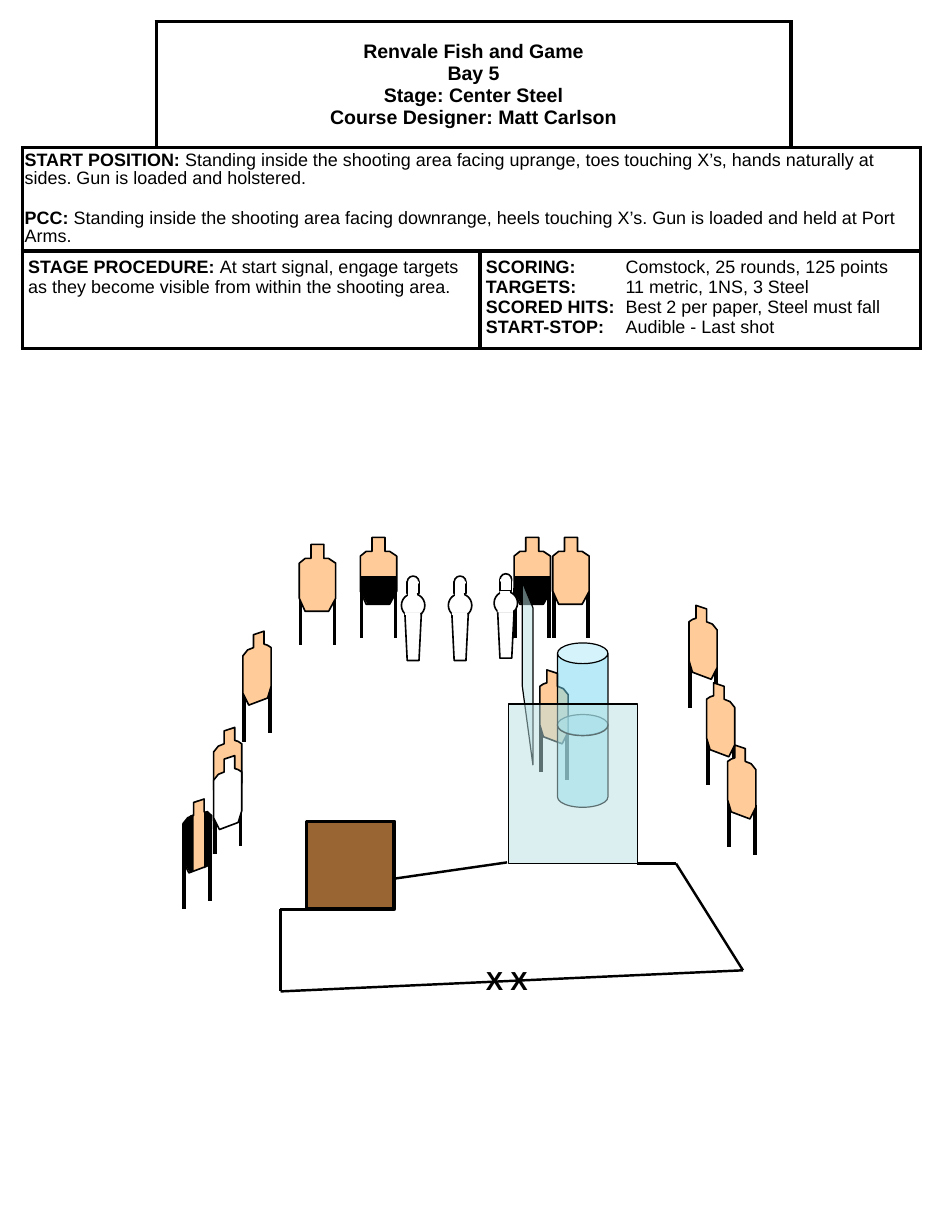
"""Build a one-page shooting stage briefing with a table and a course diagram."""
import pptx
import pptx.util
import pptx.dml.color
import pptx.enum.shapes
import pptx.enum.text
import pptx.oxml
import pptx.oxml.ns
from lxml import etree

RGB = pptx.dml.color.RGBColor
BLACK, WHITE = RGB(0, 0, 0), RGB(255, 255, 255)
TAN, BROWN = RGB(0xFF, 0xCC, 0x99), RGB(0x99, 0x66, 0x33)
BARREL, GLASS = RGB(0x73, 0xD9, 0xF1), RGB(0xBB, 0xE0, 0xE3)
KINDS = pptx.enum.shapes.MSO_SHAPE
Pt = pptx.util.Pt

HEADING = ["Renvale Fish and Game", "Bay 5", "Stage: Center Steel",
           "Course Designer: Matt Carlson"]
START = [
    ("START POSITION:", " Standing inside the shooting area facing uprange, toes touching X’s, "
     "hands naturally at sides. Gun is loaded and holstered."),
    ("PCC:", " Standing inside the shooting area facing downrange, heels touching X’s. "
     "Gun is loaded and held at Port Arms."),
]
PROCEDURE = [("STAGE PROCEDURE: ", "At start signal, engage targets as they become visible "
              "from within the shooting area.")]
SCORING = [
    ("SCORING:", "\tComstock, 25 rounds, 125 points"),
    ("TARGETS:", "\t11 metric, 1NS, 3 Steel"),
    ("SCORED HITS:", "\tBest 2 per paper, Steel must fall"),
    ("START-STOP:", "\tAudible - Last shot"),
]
COLUMNS, ROWS = [1.14, 2.76, 2.65, 1.1], [1.08, 0.87, 0.83]
SPANS = [(0, 0, 1, "RB"), (0, 1, 2, "LRTB"), (0, 3, 1, "LB"),
         (1, 0, 4, "LRTB"), (2, 0, 2, "LRTB"), (2, 2, 2, "LRTB")]

FRONT = [(.1, 0), (.21, 0), (.21, .12), (.25, .12), (.31, .16), (.31, .46),
         (.25, .57), (.05, .57), (0, .46), (0, .16), (.05, .12), (.1, .12)]
TURNED = [(.15, .03), (.06, 0), (.06, .11), (.03, .12), (0, .14), (0, .47),
          (.03, .57), (.19, .63), (.24, .53), (.24, .21), (.2, .16), (.15, .14)]
MIRRORED = [(.24 - x, y) for x, y in TURNED]
OUTLINES = {"front": FRONT, "right": TURNED, "left": MIRRORED}
LEGS = {"front": [(.01, .43), (.3, .43)], "right": [(.23, .51), (.01, .44)],
        "left": [(.01, .51), (.23, .44)]}
LOW_BLACK = [(0, .33), (.31, .33), (.31, .46), (.25, .57), (.06, .57), (0, .46)]
SIDE_BLACK = [
    [(0, .53), (.06, .63), (.09, .61), (.09, .13), (.06, .14), (0, .21)],
    [(.18, .11), (.21, .1), (.25, .14), (.24, .46), (.21, .57), (.18, .59)],
]
NO_SHOOT = [(x, y + .24) for x, y in MIRRORED]
TARGETS = [
    ("right", 5.87, 5.16, []), ("right", 6.02, 5.82, []), ("right", 6.2, 6.35, []),
    ("left", 2.07, 5.38, []), ("right", 4.6, 5.71, []),
    ("front", 3.07, 4.58, [LOW_BLACK]), ("front", 4.38, 4.58, [LOW_BLACK]),
    ("front", 4.71, 4.58, []), ("front", 2.55, 4.64, []),
    ("left", 1.56, 6.81, SIDE_BLACK), ("left", 1.82, 6.2, [NO_SHOOT]),
]

POPPERS = [(3.42, 4.91), (3.82, 4.91), (4.21, 4.89)]
POPPER_STAND = [(.03, .32), (.17, .32), (.15, .72), (.05, .72)]
POPPER_ROUNDS = [(.05, 0, .1, .1), (0, .15, .2, .2)]
POPPER_PLATES = [((.05, .05, .1, .1), BLACK), ((.03, .31, .13, .02), None),
                 ((.06, .15, .07, .02), WHITE), ((.06, .05, .08, .01), WHITE)]
FAULT_LINES = [(2.39, 7.75, 2.39, 8.45), (2.39, 8.45, 6.33, 8.27), (2.39, 7.75, 2.63, 7.75),
               (6.33, 8.27, 5.76, 7.36), (3.35, 7.49, 4.32, 7.35), (5.43, 7.36, 5.76, 7.36)]
WALLS = [[(4.45, 5.85), (4.54, 6.52), (4.54, 5.18), (4.45, 4.96)],
         [(5.43, 7.36), (4.33, 7.36), (4.33, 6), (5.43, 6)]]


def cm(inches):
    return pptx.util.Cm(2.54 * inches)


def assign(obj, values):
    for name, value in values.items():
        setattr(obj, name, value)


def paint(sp, fill, line=BLACK, width=1, alpha=None):
    sp.shadow.inherit = False
    sp.fill.solid()
    sp.fill.fore_color.rgb = fill
    if alpha:
        color = sp.fill.fore_color._xFill.find(pptx.oxml.ns.qn("a:srgbClr"))
        etree.SubElement(color, pptx.oxml.ns.qn("a:alpha"), val=str(alpha * 1000))
    if line is None:
        sp.line.fill.background()
    else:
        sp.line.color.rgb = line
        sp.line.width = Pt(width)


def add_preset(shapes, kind, box, *style, **options):
    sp = shapes.add_shape(kind, *[cm(v) for v in box])
    paint(sp, *style, **options)
    return sp


def add_outline(shapes, points, *style, x=0, y=0, **options):
    corners = [(cm(x + px), cm(y + py)) for px, py in points]
    builder = shapes.build_freeform(*corners[0], scale=1.0)
    builder.add_line_segments(corners[1:], close=True)
    paint(builder.convert_to_shape(), *style, **options)


def add_line(shapes, ends, width):
    sp = shapes.add_connector(pptx.enum.shapes.MSO_CONNECTOR.STRAIGHT, *[cm(v) for v in ends])
    sp.line.color.rgb = BLACK
    sp.line.width = Pt(width)
    etree.SubElement(sp._element.spPr, pptx.oxml.ns.qn("a:effectLst"))


def add_target(shapes, facing, x, y, overlays):
    group = shapes.add_group_shape().shapes
    drop, length = (.18, .39) if NO_SHOOT in overlays else (0, .43)
    for lx, ly in LEGS[facing]:
        add_line(group, (x + lx, y + ly + drop, x + lx, y + ly + drop + length), 2.25)
    add_outline(group, OUTLINES[facing], TAN, x=x, y=y)
    for points in overlays:
        style = (WHITE, BLACK) if points is NO_SHOOT else (BLACK, None)
        add_outline(group, points, *style, x=x, y=y)


def add_popper(shapes, x, y):
    group = shapes.add_group_shape().shapes
    for dx, dy, w, h in POPPER_ROUNDS:
        add_preset(group, KINDS.OVAL, (x + dx, y + dy, w, h), WHITE)
    add_outline(group, POPPER_STAND, WHITE, x=x, y=y)
    for (dx, dy, w, h), line in POPPER_PLATES:
        add_preset(group, KINDS.RECTANGLE, (x + dx, y + dy, w, h), WHITE, line)


def add_run(p, text, size, bold):
    r = p.add_run()
    r.text = text
    assign(r.font, {"name": "Arial", "size": Pt(size), "bold": bold})
    r.font.color.rgb = BLACK


def fill_cell(cell, entries, gap=0, spacing=None, tab=None):
    tf = cell.text_frame
    for i, (label, text) in enumerate(entries):
        p = tf.add_paragraph() if i else tf.paragraphs[0]
        if spacing:
            p.line_spacing = spacing
        if i:
            p.space_before = Pt(gap)
        if tab:
            tabs = etree.SubElement(p._p.get_or_add_pPr(), pptx.oxml.ns.qn("a:tabLst"))
            etree.SubElement(tabs, pptx.oxml.ns.qn("a:tab"), pos=str(cm(tab)), algn="l")
        add_run(p, label, 11, True)
        add_run(p, text, 11, False)


def set_borders(cell, sides):
    tc_pr = cell._tc.get_or_add_tcPr()
    for i, side in enumerate(sides):
        tc_pr.insert(i, pptx.oxml.parse_xml(
            f'<a:ln{side} {pptx.oxml.ns.nsdecls("a")} w="{Pt(2.25)}"><a:solidFill>'
            f'<a:srgbClr val="{BLACK}"/></a:solidFill></a:ln{side}>'))


def add_briefing(shapes):
    box = [cm(v) for v in (.19, .18, sum(COLUMNS), sum(ROWS))]
    table = shapes.add_table(len(ROWS), len(COLUMNS), *box).table
    assign(table, {"first_row": False, "horz_banding": False})
    for sizes, items, name in ((COLUMNS, table.columns, "width"), (ROWS, table.rows, "height")):
        for size, item in zip(sizes, items):
            setattr(item, name, cm(size))
    for row, col, count, sides in SPANS:
        for k in range(count):
            cell = table.cell(row, col + k)
            cell.fill.solid()
            cell.fill.fore_color.rgb = WHITE
            inner = sides if k == 0 else "RTB" if k == count - 1 else "TB"
            set_borders(cell, inner)
            pad_x, pad_y = (.02, .04) if row == 1 else (.05, .05)
            assign(cell, {"margin_left": cm(pad_x), "margin_right": cm(pad_x),
                          "margin_top": cm(pad_y), "margin_bottom": cm(pad_y)})
        if count > 1:
            table.cell(row, col).merge(table.cell(row, col + count - 1))
    heading = table.cell(0, 1)
    heading.vertical_anchor = pptx.enum.text.MSO_ANCHOR.MIDDLE
    p = heading.text_frame.paragraphs[0]
    p.alignment = pptx.enum.text.PP_ALIGN.CENTER
    for i, text in enumerate(HEADING):
        if i:
            p.add_line_break()
        add_run(p, text, 12, True)
    fill_cell(table.cell(1, 0), START, gap=13.5, spacing=.9)
    fill_cell(table.cell(2, 0), PROCEDURE)
    fill_cell(table.cell(2, 2), SCORING, tab=1.19)


def main():
    prs = pptx.Presentation()
    assign(prs, {"slide_width": cm(8), "slide_height": cm(10.5)})
    shapes = prs.slides.add_slide(prs.slide_layouts[6]).shapes
    for target in TARGETS:
        add_target(shapes, *target)
    for y in (6.09, 5.48):
        can = add_preset(shapes, KINDS.CAN, (4.75, y, .43, .79), BARREL, width=.75, alpha=50)
        can.adjustments[0] = .41
    for ends in FAULT_LINES:
        add_line(shapes, ends, 1.5)
    add_preset(shapes, KINDS.RECTANGLE, (2.61, 7, .75, .75), BROWN, width=2.25)
    add_briefing(shapes)
    for x, y in POPPERS:
        add_popper(shapes, x, y)
    for points in WALLS:
        add_outline(shapes, points, GLASS, width=.75, alpha=50)
    tf = shapes.add_textbox(*[cm(v) for v in (4.04, 8.17, .58, .37)]).text_frame
    tf.word_wrap = False
    add_run(tf.paragraphs[0], "X X", 16, True)
    prs.save("out.pptx")


if __name__ == "__main__":
    main()
